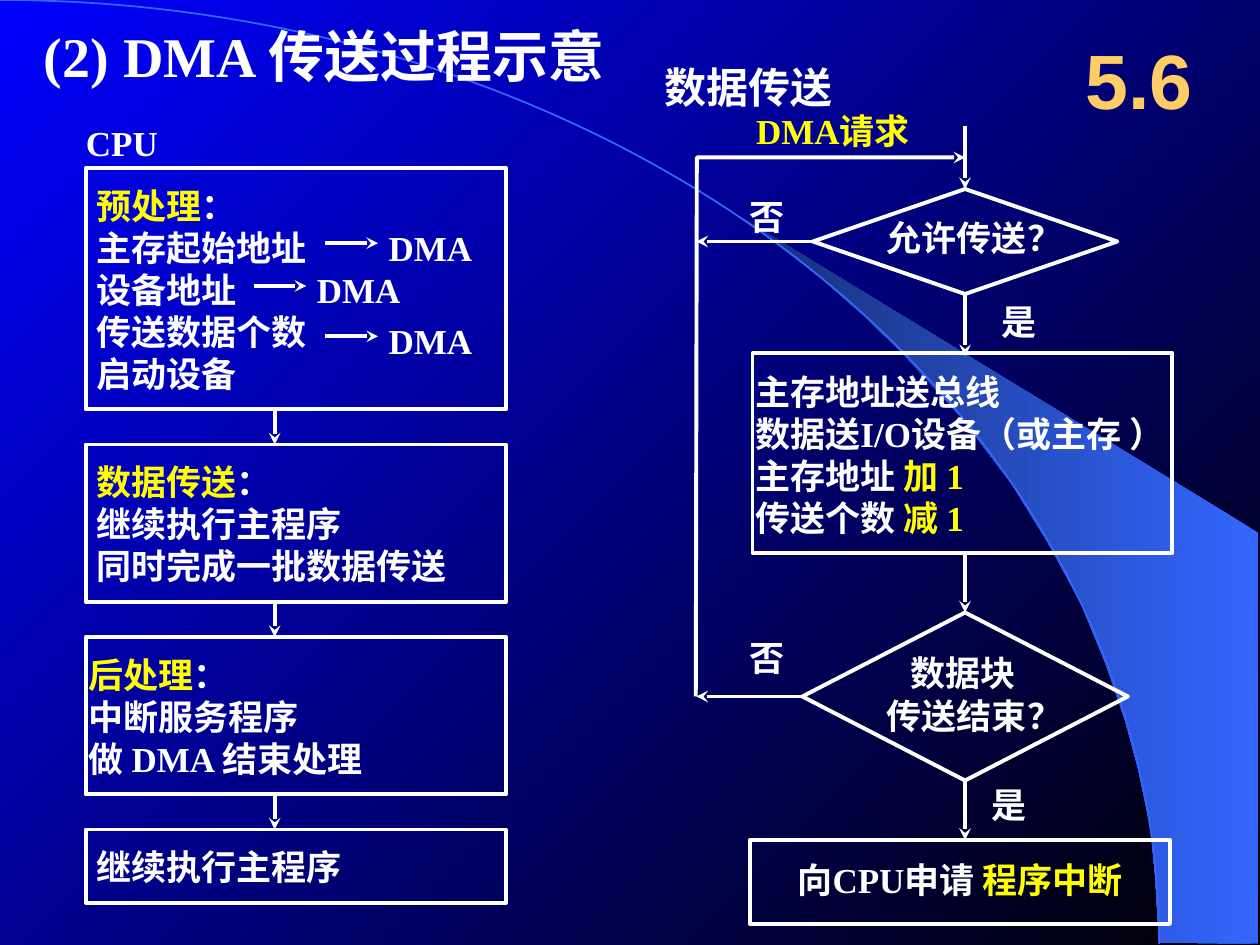
import math
from dataclasses import dataclass

import pptx
import pptx.dml.color
import pptx.enum.shapes
import pptx.enum.text
import pptx.oxml
import pptx.oxml.ns
import pptx.util
from pptx.util import Pt

COLORS = {
    "white": "FFFFFF",
    "yellow": "FFFF00",
    "gold": "FFCC66",
    "black": "000000",
    "blue": "0000FF",
    "sky": "3366FF",
    "navy": "172F75",
}
SHAPES = pptx.enum.shapes.MSO_SHAPE
TOP, LEFT, BOTTOM = 0, 1, 2
A_NS = pptx.oxml.ns.nsdecls("a")


@dataclass
class Span:
    text: str
    color: str = "white"


@dataclass
class Label:
    left: float
    top: float
    width: float
    lines: list[list[Span]]
    size: float = 20
    font: str = "Times New Roman"
    wrap: bool = False


@dataclass
class Stage:
    height: float
    text_left: float
    text_width: float
    lines: list[list[Span]]


def rgb(name: str) -> pptx.dml.color.RGBColor:
    return pptx.dml.color.RGBColor.from_string(COLORS[name])


def plain(*texts: str) -> list[list[Span]]:
    return [[Span(text)] for text in texts]


def heading(text: str) -> list[Span]:
    return [Span(text, "yellow"), Span("：")]


def set_gradient(fill, start: str, end: str, angle: float) -> None:
    fill.gradient()
    fill.gradient_angle = angle
    for stop, color in zip(fill.gradient_stops, (start, end)):
        stop.color.rgb = rgb(color)


def draw_label(slide, label: Label):
    height = label.size * 1.2 * len(label.lines) + 7.2
    box = slide.shapes.add_textbox(
        Pt(label.left), Pt(label.top), Pt(label.width), Pt(height))
    frame = box.text_frame
    frame.word_wrap = label.wrap
    frame.auto_size = pptx.enum.text.MSO_AUTO_SIZE.SHAPE_TO_FIT_TEXT
    for index, spans in enumerate(label.lines):
        paragraph = frame.add_paragraph() if index else frame.paragraphs[0]
        paragraph.text = spans[0].text
        for span in spans[1:]:
            paragraph.add_run().text = span.text
        for run, span in zip(paragraph.runs, spans):
            run.font.name = label.font
            run.font.size = Pt(label.size)
            run.font.bold = True
            run.font.color.rgb = rgb(span.color)
    return frame


def style_line(shape, color: str = "white", width: float = 2.25,
               arrow: bool = False) -> None:
    shape.line.color.rgb = rgb(color)
    shape.line.width = Pt(width)
    if arrow:
        outline = shape._element.spPr.find(pptx.oxml.ns.qn("a:ln"))
        outline.append(pptx.oxml.parse_xml(f'<a:tailEnd {A_NS} type="stealth"/>'))


def draw_outline(slide, kind, left: float, top: float, width: float, height: float):
    shape = slide.shapes.add_shape(kind, Pt(left), Pt(top), Pt(width), Pt(height))
    shape.shadow.inherit = False
    shape.fill.background()
    style_line(shape)
    return shape


def draw_arrow(slide, x1: float, y1: float, x2: float, y2: float):
    arrow = slide.shapes.add_connector(
        pptx.enum.shapes.MSO_CONNECTOR.STRAIGHT, Pt(x1), Pt(y1), Pt(x2), Pt(y2))
    style_line(arrow, arrow=True)
    arrow._element.spPr.append(pptx.oxml.parse_xml(f"<a:effectLst {A_NS}/>"))
    return arrow


def draw_freeform(slide, points: list[tuple[float, float]], close: bool = False):
    corners = [(Pt(x), Pt(y)) for x, y in points]
    builder = slide.shapes.build_freeform(*corners[0], scale=1.0)
    builder.add_line_segments(corners[1:], close=close)
    shape = builder.convert_to_shape()
    shape.shadow.inherit = False
    shape.fill.background()
    return shape


def draw_backdrop(slide) -> None:
    set_gradient(slide.background.fill, "black", "blue", 135)
    # Shaded wedge between the arc and the right edge
    wedge = draw_freeform(slide, [
        (662.4, 538.6), (719.3, 539.3), (719.3, 304.6), (424.1, 124.6),
        (449.3, 143.3), (470.2, 159.8), (493.2, 180), (515.5, 201.6),
        (548.6, 237.6), (578.2, 276.5), (599, 310.3), (617.8, 344.9),
        (632.2, 380.2), (643, 411.8), (650.2, 438.5), (657.4, 472.3),
        (660.2, 501.1)], close=True)
    set_gradient(wedge.fill, "sky", "navy", 180)
    wedge.line.fill.background()
    # Quarter ellipse from the top left corner to the bottom edge
    steps = 90
    angles = [math.pi / 2 * step / steps for step in range(steps + 1)]
    arc = draw_freeform(slide, [
        (662.4 * math.sin(a), 539.3 * (1 - math.cos(a))) for a in angles])
    style_line(arc, "sky", 1)


def draw_cpu_column(slide) -> None:
    stages = [
        Stage(138, 48, 138, [heading("预处理"), *plain(
            "主存起始地址", "设备地址", "传送数据个数", "启动设备")]),
        Stage(90, 48, 218, [heading("数据传送"), *plain(
            "继续执行主程序", "同时完成一批数据传送")]),
        Stage(90, 43.5, 185, [heading("后处理"), *plain(
            "中断服务程序", "做 DMA 结束处理")]),
        Stage(42, 48, 158, plain("继续执行主程序")),
    ]
    gap, top = 20, 96
    for index, stage in enumerate(stages):
        if index:
            draw_arrow(slide, 157, top - gap, 157, top)
        draw_outline(slide, SHAPES.RECTANGLE, 49, top, 240, stage.height)
        draw_label(slide, Label(stage.text_left, top + 5.75, stage.text_width,
                                stage.lines))
        top += stage.height + gap
    # Values handed to the DMA controller
    for tip, y in ((216, 139), (175, 163.4), (216, 192.2)):
        draw_arrow(slide, tip - 30, y, tip, y)
        draw_label(slide, Label(tip - 1, y - 13.4, 66, plain("DMA")))


def draw_transfer_flow(slide) -> None:
    axis, loop_x = 551.5, 398
    allowed = draw_outline(slide, SHAPES.DIAMOND, axis - 87, 108, 174, 60)
    draw_outline(slide, SHAPES.RECTANGLE, 430, 202, 240, 114)
    finished = draw_outline(slide, SHAPES.DIAMOND, axis - 93, 350, 186, 96)
    draw_outline(slide, SHAPES.RECTANGLE, 428.5, 480, 240, 48)

    # Downward flow
    draw_arrow(slide, axis, 72, axis, 108).end_connect(allowed, TOP)
    draw_arrow(slide, axis, 168, axis, 203.5).begin_connect(allowed, BOTTOM)
    draw_arrow(slide, axis, 316, axis, 350).end_connect(finished, TOP)
    draw_arrow(slide, axis, 446, axis, 480).begin_connect(finished, BOTTOM)

    # "No" branches and the loop back to the request
    draw_arrow(slide, axis - 87, 138, loop_x, 138).begin_connect(allowed, LEFT)
    draw_arrow(slide, axis - 93, 398, loop_x, 398).begin_connect(finished, LEFT)
    loop = draw_freeform(slide, [(397.6, 398), (398.2, 90), (axis, 90)])
    style_line(loop, arrow=True)

    # Wording
    for label in (
        Label(499.7, 120, 118, plain("允许传送？")),
        Label(424.5, 208, 262, [
            *plain("主存地址送总线", "数据送I/O设备（或主存 ）"),
            [Span("主存地址 "), Span("加 1", "yellow")],
            [Span("传送个数 "), Span("减 1", "yellow")]]),
        Label(448.6, 487, 218, [
            [Span("向CPU申请 "), Span("程序中断", "yellow")]]),
        Label(425, 59, 112, [[Span("DMA请求", "yellow")]]),
        Label(421.2, 108, 36, plain("否")),
        Label(421.2, 360, 36, plain("否")),
        Label(565.2, 168, 36, plain("是")),
        Label(559.4, 444, 36, plain("是")),
        Label(372.5, 31.7, 114, plain("数据传送"), size=24),
    ):
        draw_label(slide, label)
    question = draw_label(slide, Label(499.7, 369, 118,
                                       plain("数据块", "传送结束？")))
    indent = question.paragraphs[0]._p.get_or_add_pPr()
    indent.set("marL", str(Pt(13.5)))


def main() -> None:
    deck = pptx.Presentation()
    deck.slide_width, deck.slide_height = Pt(720), Pt(540)
    slide = deck.slides.add_slide(deck.slide_layouts[6])

    draw_backdrop(slide)
    draw_cpu_column(slide)
    draw_transfer_flow(slide)

    # Titles and section number
    draw_label(slide, Label(42, 65.8, 58, plain("CPU")))
    draw_label(slide, Label(18, 8.6, 365.8, plain("(2) DMA 传送过程示意"),
                            size=32, wrap=True))
    section = draw_label(slide, Label(606, 15.3, 90, [[Span("5.6", "gold")]],
                                      size=44, font="Arial", wrap=True))
    section.paragraphs[0].alignment = pptx.enum.text.PP_ALIGN.CENTER

    deck.save("out.pptx")


if __name__ == "__main__":
    main()
